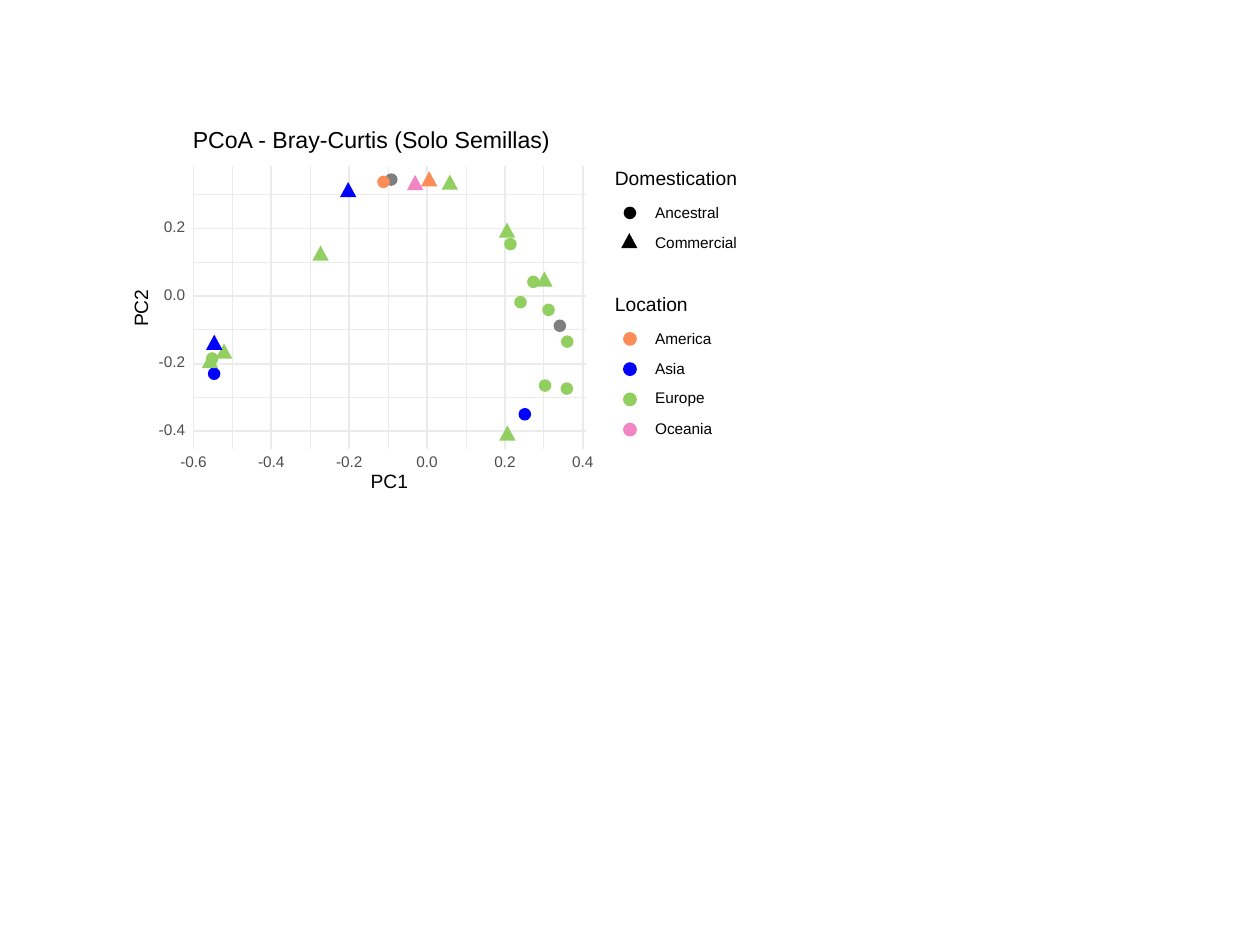
from pptx import Presentation
from pptx.dml.color import RGBColor
from pptx.enum.shapes import MSO_CONNECTOR, MSO_SHAPE
from pptx.enum.text import MSO_ANCHOR, MSO_AUTO_SIZE, PP_ALIGN
from pptx.oxml.ns import qn
from pptx.util import Inches, Pt
from lxml import etree

STRAIGHT = MSO_CONNECTOR.STRAIGHT
RECTANGLE, CIRCLE, TRIANGLE = MSO_SHAPE.RECTANGLE, MSO_SHAPE.OVAL, MSO_SHAPE.ISOSCELES_TRIANGLE
LEFT, CENTER, RIGHT = PP_ALIGN.LEFT, PP_ALIGN.CENTER, PP_ALIGN.RIGHT
MIDDLE, NO_AUTOFIT = MSO_ANCHOR.MIDDLE, MSO_AUTO_SIZE.NONE

BLACK = RGBColor(0x00, 0x00, 0x00)
WHITE = RGBColor(0xFF, 0xFF, 0xFF)
GRID = RGBColor(0xEB, 0xEB, 0xEB)
TICK = RGBColor(0x4D, 0x4D, 0x4D)
UNKNOWN = RGBColor(0x7F, 0x7F, 0x7F)
AMERICA = RGBColor(0xFC, 0x8D, 0x59)
ASIA = RGBColor(0x00, 0x00, 0xFF)
EUROPE = RGBColor(0x91, 0xCF, 0x60)
OCEANIA = RGBColor(0xF2, 0x85, 0xC4)

COLUMNS, ROWS = 10, 7.5
PANEL_LEFT, PANEL_RIGHT, PANEL_TOP, PANEL_BOTTOM = 1.53, 4.65, 1.32, 3.56
KEY_X, LABEL_X, KEY_STEP = 5, 5.2, 0.24
SMALL, MEDIUM, LARGE = 8.8, 11, 13.2

SAMPLES = [
    (CIRCLE, ASIA, 25.1, -35), (CIRCLE, ASIA, -54.7, -23),
    (TRIANGLE, EUROPE, 20.8, -41.3), (TRIANGLE, EUROPE, 20.7, 18.8),
    (CIRCLE, EUROPE, -55.2, -18.5), (CIRCLE, EUROPE, 35.9, -27.4),
    (CIRCLE, EUROPE, 27.3, 4.2), (CIRCLE, EUROPE, 36, -13.5),
    (CIRCLE, EUROPE, 31.2, -4.1), (CIRCLE, EUROPE, 21.4, 15.4),
    (CIRCLE, EUROPE, 24, -1.8), (TRIANGLE, EUROPE, -27.2, 12),
    (TRIANGLE, EUROPE, 30.3, 4.3), (TRIANGLE, EUROPE, -52, -17),
    (TRIANGLE, EUROPE, -55.6, -19.8), (TRIANGLE, EUROPE, 6, 33),
    (CIRCLE, EUROPE, 30.3, -26.5), (TRIANGLE, ASIA, -54.5, -14.4),
    (CIRCLE, UNKNOWN, 34.1, -8.8), (CIRCLE, UNKNOWN, -9.2, 34.5),
    (CIRCLE, AMERICA, -11.2, 33.8), (TRIANGLE, AMERICA, 0.7, 34),
    (TRIANGLE, ASIA, -20.1, 30.8), (TRIANGLE, OCEANIA, -2.9, 32.9),
]
LEGENDS = [
    ("Domestication", 0.97, 1.37, 1.69, None, [
        ("Ancestral", CIRCLE, BLACK, 0.51, 0.09),
        ("Commercial", TRIANGLE, BLACK, 0.65, 0.09)]),
    ("Location", 0.58, 2.37, 2.69, 0.71, [
        ("America", CIRCLE, AMERICA, 0.45, 0.09),
        ("Asia", CIRCLE, ASIA, 0.24, 0.09),
        ("Europe", CIRCLE, EUROPE, 0.39, 0.11),
        ("Oceania", CIRCLE, OCEANIA, 0.46, 0.09)]),
]


def score_x(percent):
    return 3.39 + 3.09 * percent / 100


def score_y(percent):
    return 2.35 - 2.68 * percent / 100


class Plot:
    font_name = "Arial"
    frame_format = {
        "margin_left": 0, "margin_right": 0, "margin_top": 0, "margin_bottom": 0,
        "word_wrap": False, "auto_size": NO_AUTOFIT, "vertical_anchor": MIDDLE,
    }

    def __init__(self, presentation):
        self.column = presentation.slide_width / COLUMNS
        self.row = presentation.slide_height / ROWS
        self.slide = presentation.slides.add_slide(presentation.slide_layouts[5])
        self.shapes = self.slide.shapes

    def box(self, left, top, width, height):
        return (round(left * self.column), round(top * self.row),
                round(width * self.column), round(height * self.row))

    def apply(self, target, values):
        for name, value in values.items():
            setattr(target, name, value)

    def fill_text(self, shape, text, size, color, align):
        frame = shape.text_frame
        self.apply(frame, self.frame_format)
        frame.text = text
        paragraph = frame.paragraphs[0]
        self.apply(paragraph, {"alignment": align, "line_spacing": Pt(size)})
        font = paragraph.runs[0].font
        self.apply(font, {"name": self.font_name, "size": Pt(size)})
        font.color.rgb = color

    def title(self, text, *place):
        shape = self.shapes.title
        self.apply(shape, dict(zip(("left", "top", "width", "height"), self.box(*place))))
        self.fill_text(shape, text, LARGE, BLACK, LEFT)
        shape.element.getparent().append(shape.element)

    def text(self, text, place, size, color=BLACK, align=LEFT, rotation=0):
        shape = self.shapes.add_textbox(*self.box(*place))
        shape.rotation = rotation
        self.fill_text(shape, text, size, color, align)

    def shape(self, kind, place, fill, line_width=None):
        shape = self.shapes.add_shape(kind, *self.box(*place))
        shape.shadow.inherit = False
        shape.fill.solid()
        shape.fill.fore_color.rgb = fill
        if line_width is None:
            shape.line.fill.background()
        else:
            shape.line.color.rgb = fill
            shape.line.width = Pt(line_width)

    def marker(self, kind, x, y, fill, line_width=None):
        if kind == CIRCLE:
            place = (x - 0.05, y - 0.05, 0.1, 0.1)
        else:
            place = (x - 0.07, y - 0.08, 0.13, 0.12)
        self.shape(kind, place, fill, line_width)

    def line(self, x1, y1, x2, y2, width):
        connector = self.shapes.add_connector(STRAIGHT, *self.box(x1, y1, x2, y2))
        connector.line.color.rgb = GRID
        connector.line.width = Pt(width)
        etree.SubElement(connector.element.spPr, qn("a:effectLst"))

    def grid(self, x_scores, y_scores, width):
        for score in y_scores:
            self.line(PANEL_LEFT, score_y(score), PANEL_RIGHT, score_y(score), width)
        for score in x_scores:
            self.line(score_x(score), PANEL_BOTTOM, score_x(score), PANEL_TOP, width)

    def tick_label(self, score, x, top, share, align):
        width = 0.21 if score < 0 else 0.17
        place = (x - width * share, top, width, 0.09)
        self.text(f"{score / 100:.1f}", place, SMALL, TICK, align)

    def tick_labels(self, x_scores, y_scores):
        for score in y_scores:
            self.tick_label(score, 1.47, score_y(score) - 0.05, 1, RIGHT)
        for score in x_scores:
            self.tick_label(score, score_x(score), 3.63, 0.5, CENTER)

    def legend(self, heading, width, top, first_key, line_width, entries):
        self.text(heading, (4.88, top, width, 0.11), MEDIUM)
        for index, (label, kind, color, label_width, height) in enumerate(entries):
            y = first_key + index * KEY_STEP
            self.marker(kind, KEY_X, y, color, line_width)
            self.text(label, (LABEL_X, y + 0.05 - height, label_width, height), SMALL)


def main():
    presentation = Presentation()
    presentation.slide_width, presentation.slide_height = Inches(COLUMNS), Inches(ROWS)
    plot = Plot(presentation)
    plot.shape(RECTANGLE, (1, 1, 5, 3), WHITE, 0.75)
    x_ticks, y_ticks = range(-60, 41, 20), range(-40, 21, 20)
    plot.grid(range(-50, 31, 20), range(-30, 31, 20), 0.53)
    plot.grid(x_ticks, y_ticks, 1.07)
    for kind, color, first, second in SAMPLES:
        plot.marker(kind, score_x(first), score_y(second), color)
    plot.tick_labels(x_ticks, y_ticks)
    plot.text("PC1", (2.94, 3.78, 0.3, 0.11), MEDIUM, align=CENTER)
    plot.text("PC2", (0.98, 2.39, 0.3, 0.11), MEDIUM, align=CENTER, rotation=270)
    for legend in LEGENDS:
        plot.legend(*legend)
    plot.title("PCoA - Bray-Curtis (Solo Semillas)", 1.53, 1.04, 2.84, 0.17)
    presentation.save("out.pptx")


if __name__ == "__main__":
    main()
